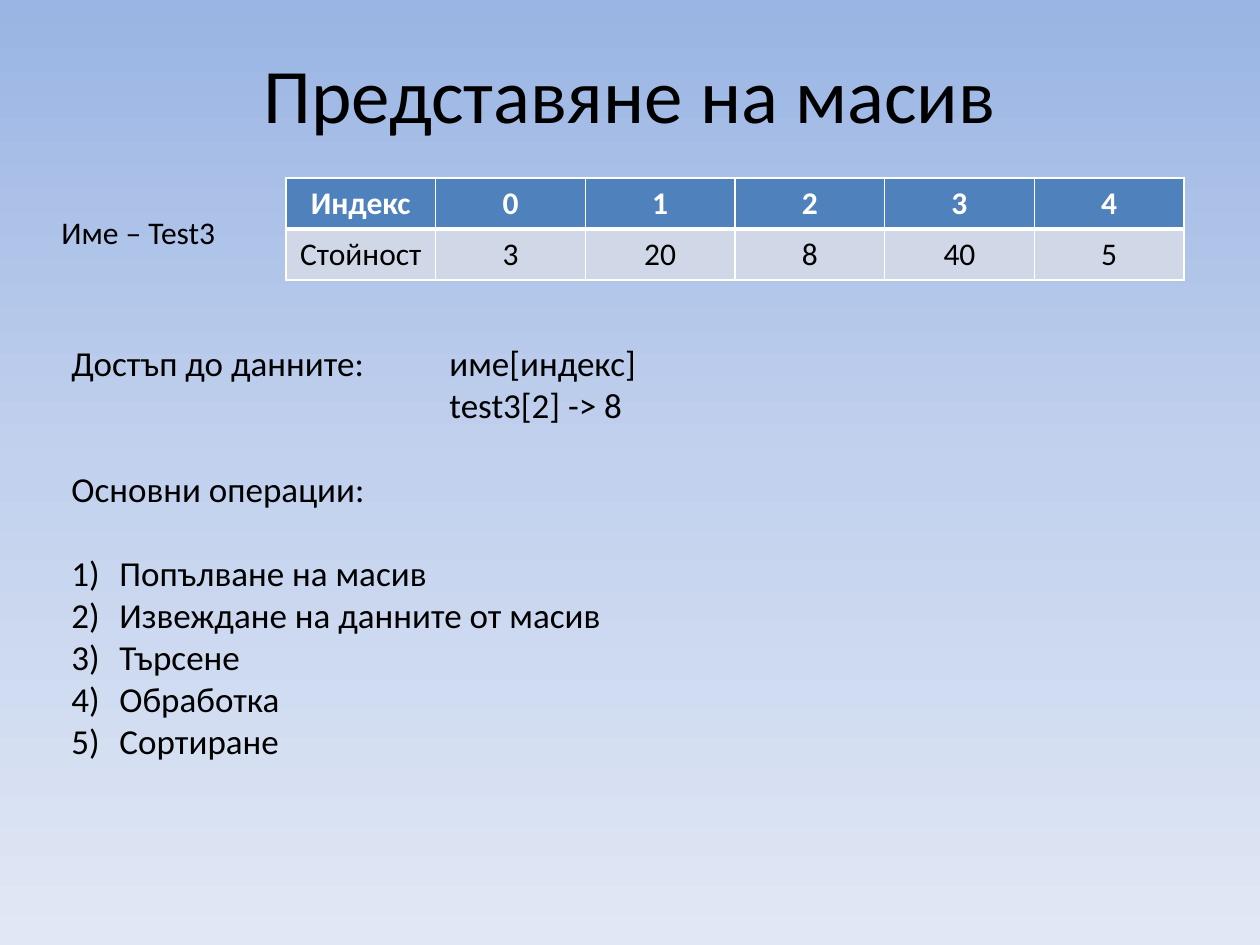
from pptx import Presentation
from pptx.dml.color import RGBColor as Rgb
from pptx.enum.text import MSO_ANCHOR as Anchor, MSO_AUTO_SIZE as Fit, PP_ALIGN as Align
from pptx.util import Pt
from lxml.etree import SubElement as Sub
from pptx.oxml.ns import qn
from copy import deepcopy

SCALE = 914400 / 126
HUES = {
    "black": "000000", "white": "FFFFFF", "head": "4F81BD", "body": "D0D8E8",
    "sky": "9AB5E4", "mid": "C2D1ED", "pale": "E1E8F5",
}


def px(n):
    return round(n * SCALE)


class Page:
    font = "Calibri"

    def __init__(self, deck):
        self.slide = deck.slides.add_slide(deck.slide_layouts[5])

    def hue(self, name):
        return Rgb.from_string(HUES[name])

    def back(self, names):
        fill = self.slide.background.fill
        fill.gradient()
        fill.gradient_angle = 270
        stops = self.slide.element.find(".//" + qn("a:gsLst"))
        stops.insert(1, deepcopy(stops[0]))
        for i, (stop, name) in enumerate(zip(fill.gradient_stops, names)):
            stop.position = i / (len(names) - 1)
            stop.color.rgb = self.hue(name)

    def run(self, para, text, size, hue="black", bold=False):
        run = para.add_run()
        run.text = text
        font = run.font
        font.name, font.size, font.bold = self.font, Pt(size), bold
        font.color.rgb = self.hue(hue)

    def title(self, text, x, y, w, h):
        box = self.slide.shapes.title
        box.left, box.top, box.width, box.height = map(px, (x, y, w, h))
        frame = box.text_frame
        frame.vertical_anchor = Anchor.MIDDLE
        para = frame.paragraphs[0]
        para.alignment = Align.CENTER
        self.run(para, text, 44)

    def edge(self, cell, side, width):
        line = Sub(cell._tc.get_or_add_tcPr(), qn("a:ln" + side), w=str(Pt(width)))
        fill = Sub(line, qn("a:solidFill"))
        Sub(fill, qn("a:srgbClr"), val=HUES["white"])

    def table(self, rows, x, y, w, h):
        grid = self.slide.shapes.add_table(
            len(rows), len(rows[0]), px(x), px(y), px(w), px(h)).table
        for r, row in enumerate(rows):
            head = r == 0
            thick = "B" if head else "T"
            for c, text in enumerate(row):
                cell = grid.cell(r, c)
                for side in "LRTB":
                    self.edge(cell, side, 3 if side == thick else 1)
                cell.fill.solid()
                cell.fill.fore_color.rgb = self.hue("head" if head else "body")
                para = cell.text_frame.paragraphs[0]
                para.alignment = Align.CENTER
                self.run(para, text, 18, "white" if head else "black", head)

    def text(self, items, size, x, y, w, h, wrap=True):
        box = self.slide.shapes.add_textbox(px(x), px(y), px(w), px(h))
        frame = box.text_frame
        frame.word_wrap = wrap
        frame.auto_size = Fit.SHAPE_TO_FIT_TEXT
        for i, (text, kind, gap) in enumerate(items):
            para = frame.add_paragraph() if i else frame.paragraphs[0]
            props = para._p.get_or_add_pPr()
            if kind == "list":
                props.set("marL", str(px(48)))
                props.set("indent", str(-px(48)))
                Sub(props, qn("a:buFont"), typeface="+mj-lt")
                Sub(props, qn("a:buAutoNum"), type="arabicParenR")
            elif kind == "tab":
                tabs = Sub(props, qn("a:tabLst"))
                Sub(tabs, qn("a:tab"), pos=str(px(378)), algn="l")
            if gap:
                para.space_before = Pt(gap)
            self.run(para, text, size)


def main():
    deck = Presentation()
    deck.slide_width, deck.slide_height = px(1260), px(945)
    page = Page(deck)
    page.back(["sky", "mid", "pale"])
    page.title("Представяне на масив", 63, 38, 1134, 110)
    page.table([
        ["Индекс", "0", "1", "2", "3", "4"],
        ["Стойност", "3", "20", "8", "40", "5"],
    ], 286, 178, 898, 101)
    page.text([("Име – Test3", "", 0)], 18, 49, 207, 181, 50, wrap=False)
    steps = ["Попълване на масив", "Извеждане на данните от масив",
             "Търсене", "Обработка", "Сортиране"]
    gap = 24
    page.text([
        ("Достъп до данните:\tиме[индекс]", "tab", 0),
        ("\ttest3[2] -> 8", "tab", 0),
        ("Основни операции:", "", gap),
        *((step, "list", 0 if i else gap) for i, step in enumerate(steps)),
    ], 20, 59, 335, 1142, 437)
    deck.save("out.pptx")


if __name__ == "__main__":
    main()
